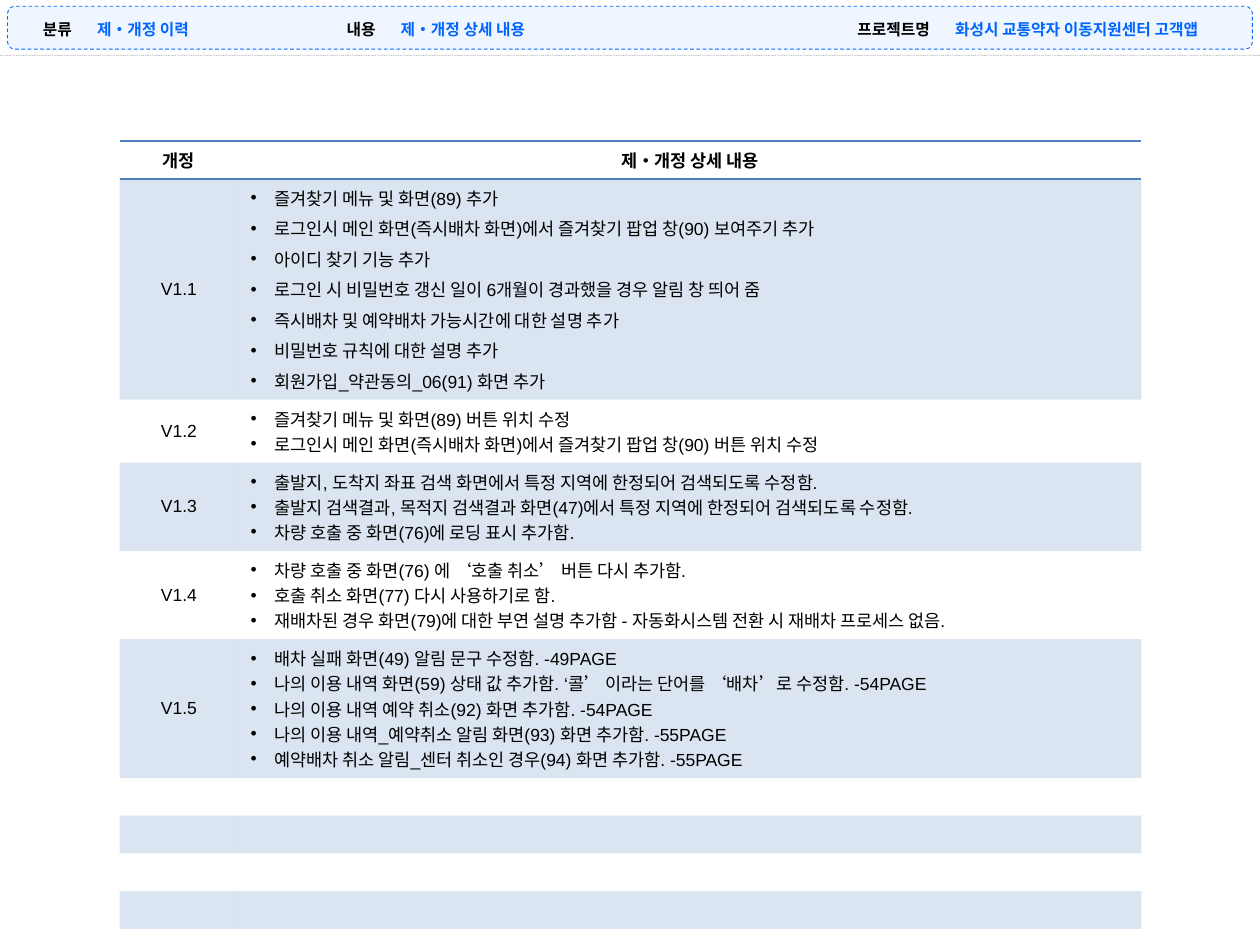
"""Builds the revision history slide with its header bar and version table."""
from lxml import etree
from pptx import Presentation
from pptx import util as u
from pptx.dml.color import RGBColor
from pptx.enum import dml, shapes, text
from pptx.oxml.ns import qn

COLORS = {"accent": "0066FF", "black": "000000", "grey": "808080", "table": "4F81BD"}
KOREAN = "Noto Sans CJK KR"
NO_STYLE = "{2D5ABB26-0587-4C30-8999-92F81FD0307C}"
CENTER, RIGHT, LEFT = text.PP_ALIGN.CENTER, text.PP_ALIGN.RIGHT, text.PP_ALIGN.LEFT


def add_plain_table(s, left, top, widths, heights):
    size = [u.Inches(sum(sizes)) for sizes in (widths, heights)]
    t = s.shapes.add_table(len(heights), len(widths), u.Inches(left), u.Inches(top), *size).table
    t.first_row = t.horz_banding = False
    t._tbl.tblPr.find(qn("a:tableStyleId")).text = NO_STYLE
    for col, width in zip(t.columns, widths):
        col.width = u.Inches(width)
    for row, height in zip(t.rows, heights):
        row.height = u.Inches(height)
    return t


def write(p, words, color, align, **font):
    p.alignment = align
    r = p.add_run()
    r.text = words
    for name, value in font.items():
        setattr(r.font, name, value)
    r.font.color.rgb = RGBColor.from_string(COLORS[color])
    etree.SubElement(r._r.get_or_add_rPr(), qn("a:ea"), typeface=KOREAN)


prs = Presentation()
prs.slide_width, prs.slide_height = u.Inches(10), u.Inches(7.5)
s = prs.slides.add_slide(prs.slide_layouts[6])

bar = s.shapes.add_shape(shapes.MSO_SHAPE.ROUNDED_RECTANGLE,
                         u.Inches(0.06), u.Inches(0.05), u.Inches(9.88), u.Inches(0.34))
bar.shadow.inherit = False
bar.fill.solid()
bar.fill.fore_color.rgb = RGBColor.from_string(COLORS["accent"])
fill_color = bar._element.spPr.find(qn("a:solidFill"))[0]
etree.SubElement(fill_color, qn("a:alpha"), val="6000")

rule = s.shapes.add_connector(shapes.MSO_CONNECTOR.STRAIGHT,
                              0, u.Inches(0.44), u.Inches(10), u.Inches(0.44))
for sp, color, dash in ((bar, "accent", dml.MSO_LINE.DASH),
                        (rule, "grey", dml.MSO_LINE.ROUND_DOT)):
    sp.line.color.rgb = RGBColor.from_string(COLORS[color])
    sp.line.width = u.Pt(0.5)
    sp.line.dash_style = dash
rule_color = rule._element.spPr.find(qn("a:ln")).find(qn("a:solidFill"))[0]
etree.SubElement(rule_color, qn("a:alpha"), val="48000")
etree.SubElement(rule._element.spPr, qn("a:effectLst"))

header_fields = [
    (0.12, (0.55, 1.65), "분류", "제•개정 이력"),
    (2.43, (0.65, 3.57), "내용", "제•개정 상세 내용"),
    (6.65, (0.83, 2.48), "프로젝트명", "화성시 교통약자 이동지원센터 고객앱"),
]
header_font = {"size": u.Pt(9), "bold": True, "name": KOREAN}
for left, widths, label, value in header_fields:
    t = add_plain_table(s, left, 0.09, widths, [0.25])
    write(t.cell(0, 0).text_frame.paragraphs[0], label, "black", RIGHT, **header_font)
    write(t.cell(0, 1).text_frame.paragraphs[0], value, "accent", LEFT, **header_font)

revisions = [
    ("V1.1", 1.75, [
        "즐겨찾기 메뉴 및 화면(89) 추가",
        "로그인시 메인 화면(즉시배차 화면)에서 즐겨찾기 팝업 창(90) 보여주기 추가",
        "아이디 찾기 기능 추가",
        "로그인 시 비밀번호 갱신 일이 6개월이 경과했을 경우 알림 창 띄어 줌",
        "즉시배차 및 예약배차 가능시간에 대한 설명 추가",
        "비밀번호 규칙에 대한 설명 추가",
        "회원가입_약관동의_06(91) 화면 추가"]),
    ("V1.2", 0.5, [
        "즐겨찾기 메뉴 및 화면(89) 버튼 위치 수정",
        "로그인시 메인 화면(즉시배차 화면)에서 즐겨찾기 팝업 창(90) 버튼 위치 수정"]),
    ("V1.3", 0.7, [
        "출발지, 도착지 좌표 검색 화면에서 특정 지역에 한정되어 검색되도록 수정함.",
        "출발지 검색결과, 목적지 검색결과 화면(47)에서 특정 지역에 한정되어 검색되도록 수정함.",
        "차량 호출 중 화면(76)에 로딩 표시 추가함."]),
    ("V1.4", 0.7, [
        "차량 호출 중 화면(76) 에 ‘호출 취소’ 버튼 다시 추가함.",
        "호출 취소 화면(77) 다시 사용하기로 함.",
        "재배차된 경우 화면(79)에 대한 부연 설명 추가함 - 자동화시스템 전환 시 재배차 프로세스 없음."]),
    ("V1.5", 1.1, [
        "배차 실패 화면(49) 알림 문구 수정함. -49PAGE",
        "나의 이용 내역 화면(59) 상태 값 추가함. ‘콜’ 이라는 단어를 ‘배차’로 수정함. -54PAGE",
        "나의 이용 내역 예약 취소(92) 화면 추가함. -54PAGE",
        "나의 이용 내역_예약취소 알림 화면(93) 화면 추가함. -55PAGE",
        "예약배차 취소 알림_센터 취소인 경우(94) 화면 추가함. -55PAGE"]),
]
spare_rows = 6
heights = [0.3] + [height for _, height, _ in revisions] + [0.3] * spare_rows
t = add_plain_table(s, 0.95, 1.12, (0.94, 7.17), heights)
last = len(heights) - 1
borders = {0: ("a:lnT", "a:lnB"), last: ("a:lnB",)}

for i, row in enumerate(t.rows):
    for cell in row.cells:
        cell.vertical_anchor = text.MSO_ANCHOR.MIDDLE
        tc_pr = cell._tc.get_or_add_tcPr()
        for side in borders.get(i, ()):
            ln = etree.SubElement(tc_pr, qn(side), w=str(u.Pt(1)))
            solid = etree.SubElement(ln, qn("a:solidFill"))
            etree.SubElement(solid, qn("a:srgbClr"), val=COLORS["table"])
        if i % 2:
            cell.fill.solid()
            cell.fill.fore_color.rgb = RGBColor.from_string(COLORS["table"])
            etree.SubElement(tc_pr.find(qn("a:solidFill"))[0], qn("a:alpha"), val="20000")
        else:
            cell.fill.background()
        if i > len(revisions):
            p = cell.text_frame.paragraphs[0]
            etree.SubElement(p._p, qn("a:endParaRPr"), sz="1000")

body_font = {"size": u.Pt(10), "bold": False, "name": "Arial"}
for cell, words in zip(t.rows[0].cells, ("개정", "제•개정 상세 내용")):
    write(cell.text_frame.paragraphs[0], words, "black", CENTER, **{**body_font, "bold": True})

for i, (version, _, changes) in enumerate(revisions, 1):
    write(t.cell(i, 0).text_frame.paragraphs[0], version, "black", CENTER, **body_font)
    tf = t.cell(i, 1).text_frame
    for j, change in enumerate(changes):
        p = tf.add_paragraph() if j else tf.paragraphs[0]
        write(p, change, "black", LEFT, **body_font)
        if version == "V1.1":
            p.space_before = u.Pt(3)
        p_pr = p._p.get_or_add_pPr()
        for name, value in {"marL": 0.19, "indent": -0.19}.items():
            p_pr.set(name, str(u.Inches(value)))
        etree.SubElement(p_pr, qn("a:buFont"), typeface="Arial")
        etree.SubElement(p_pr, qn("a:buChar"), char="•")

prs.save("out.pptx")
